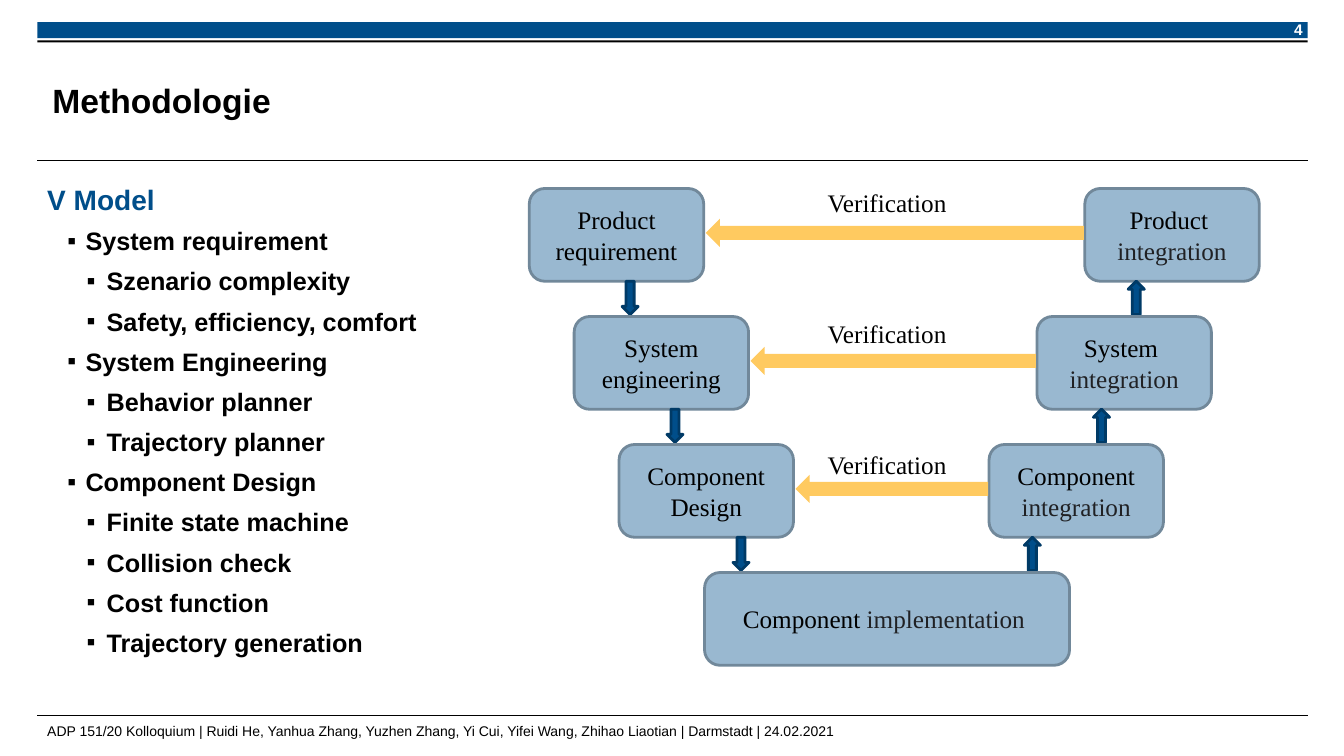
from lxml import etree
from pptx import Presentation
from pptx.dml.color import RGBColor
from pptx.enum.shapes import MSO_CONNECTOR as Connector, MSO_SHAPE as Shape
from pptx.enum.text import MSO_ANCHOR as Anchor, PP_ALIGN as Align
from pptx.oxml.ns import qn
from pptx.util import Inches, Pt

COLORS = {
    "blue": "004E8A", "navy": "003A66", "steel": "99B8D0", "slate": "71889A",
    "amber": "FFCA60", "black": "000000", "ink": "202124", "white": "FFFFFF",
}
SANS, SERIF = "Arial", "Times New Roman"
WIDTH, HEIGHT = 13.33, 7.5
MARGIN, CONTENT = 0.37, 12.6

TOPICS = {
    "System requirement": ["Szenario complexity", "Safety, efficiency, comfort"],
    "System Engineering": ["Behavior planner", "Trajectory planner"],
    "Component Design": ["Finite state machine", "Collision check",
                         "Cost function", "Trajectory generation"],
}
# Each stage holds paragraphs of runs: (text, color); "\n" is a line break
DESIGN = [
    [[("Product requirement", "black")]],
    [[("System engineering", "black")]],
    [[("Component", "black")], [("Design", "black")]],
]
INTEGRATION = [
    [[("Product ", "black"), ("\n", None), ("integration", "ink")]],
    [[("System ", "black"), ("\n", None), ("integration", "ink")]],
    [[("Component", "black")], [("integration", "ink")]],
]
IMPLEMENTATION = [[("Component", "black"), (" implementation ", "ink")]]
DOWN_OFFSETS = [0.92, 0.92, 1.13]  # arrow positions within the stage boxes
UP_OFFSETS = [0.43, 0.56, 0.35]


def rgb(name):
    return RGBColor.from_string(COLORS[name])


def add_run(paragraph, text, size, color, font=SANS, bold=False):
    run = paragraph.add_run()
    run.text = text
    run.font.size, run.font.name, run.font.bold = Pt(size), font, bold
    run.font.color.rgb = rgb(color)


def add_text_frame(slide, box, insets=(0.1, 0.05, 0.1, 0.05), wrap=True):
    frame = slide.shapes.add_textbox(*map(Inches, box)).text_frame
    frame.word_wrap = wrap
    (frame.margin_left, frame.margin_top,
     frame.margin_right, frame.margin_bottom) = map(Inches, insets)
    return frame


def add_block(slide, kind, box, fill, line=None):
    block = slide.shapes.add_shape(kind, *map(Inches, box))
    block.shadow.inherit = False
    block.fill.solid()
    block.fill.fore_color.rgb = rgb(fill)
    if line:
        block.line.color.rgb = rgb(line)
        block.line.width = Pt(2)
    else:
        block.line.fill.background()
    return block


def add_rule(slide, left, top, width):
    rule = slide.shapes.add_connector(
        Connector.STRAIGHT, Inches(left), Inches(top), Inches(left + width), Inches(top))
    rule.line.color.rgb = rgb("black")
    rule.line.width = Pt(0.6)
    etree.SubElement(rule._element.spPr, qn("a:effectLst"))


def add_header(slide, left, top, width):
    # Blue band, black line and page number
    add_block(slide, Shape.RECTANGLE, (left, top, width, 0.16), "blue")
    add_block(slide, Shape.RECTANGLE, (left, top + 0.18, width, 0.02), "black")
    number = add_text_frame(slide, (left + width - 0.47, top - 0.07, 0.52, 0.29), wrap=False)
    number.paragraphs[0].alignment = Align.RIGHT
    add_run(number.paragraphs[0], "4", 11, "white", bold=True)

    # Title above its rule
    title = add_text_frame(slide, (left + 0.15, top + 0.31, 10.54, 0.92), (0, 0, 0, 0))
    title.vertical_anchor = Anchor.MIDDLE
    add_run(title.paragraphs[0], "Methodologie", 24, "black", bold=True)
    add_rule(slide, left, top + 1.37, width)


def add_footer(slide, left, top, width):
    add_rule(slide, left, top, width)
    footer = add_text_frame(slide, (left, top + 0.02, 11.42, 0.23), (0.1, 0.05, 0, 0.05))
    add_run(footer.paragraphs[0],
            "ADP 151/20 Kolloquium | Ruidi He, Yanhua Zhang, Yuzhen Zhang, Yi Cui, "
            "Yifei Wang, Zhihao Liaotian | Darmstadt | 24.02.2021", 10, "black")


def add_bullet(paragraph, margin, indent):
    props = paragraph._p.get_or_add_pPr()
    props.set("marL", str(Inches(margin)))
    props.set("indent", str(Inches(-indent)))
    etree.SubElement(props, qn("a:buFont"), typeface=SANS)
    etree.SubElement(props, qn("a:buChar"), char="▪")


def add_outline(slide, box):
    frame = add_text_frame(slide, box)
    heading = frame.paragraphs[0]
    add_run(heading, "V Model", 20, "blue", bold=True)
    for topic, details in TOPICS.items():
        for level, text in [(1, topic)] + [(2, detail) for detail in details]:
            item = frame.add_paragraph()
            item.level = level
            add_bullet(item, *((0.38, 0.18) if level == 1 else (0.59, 0.2)))
            add_run(item, text, 18, "black", bold=True)
    for paragraph in frame.paragraphs:
        paragraph.line_spacing = 1.05
        paragraph.space_after = Pt(6)


def add_stage(slide, box, paragraphs):
    frame = add_block(slide, Shape.ROUNDED_RECTANGLE, box, "steel", "slate").text_frame
    frame.word_wrap = True
    frame.vertical_anchor = Anchor.MIDDLE
    for index, runs in enumerate(paragraphs):
        paragraph = frame.add_paragraph() if index else frame.paragraphs[0]
        paragraph.alignment = Align.CENTER
        for text, color in runs:
            if text == "\n":
                paragraph.add_line_break()
            else:
                add_run(paragraph, text, 18, color, SERIF)


def add_v_model(slide, left, top, width, height):
    stage_w, stage_h = 1.73, 0.92
    row_step = (height - stage_h) / len(DESIGN)
    for level, (design, integration) in enumerate(zip(DESIGN, INTEGRATION)):
        row = top + level * row_step
        design_x = left + level * 0.445
        integration_x = left + width - stage_w - level * 0.475

        # Both arms of the V
        add_stage(slide, (design_x, row, stage_w, stage_h), design)
        add_stage(slide, (integration_x, row, stage_w, stage_h), integration)

        # Verification link between the arms
        link_x = design_x + stage_w + 0.02
        add_block(slide, Shape.LEFT_ARROW,
                  (link_x, row + 0.3, integration_x - 0.01 - link_x, 0.28), "amber")
        label = add_text_frame(slide, (left + 2.86, top - 0.06 + level * 1.3, 1.53, 0.4))
        add_run(label.paragraphs[0], "Verification", 18, "black", SERIF)

        # Steps down the design arm and up the integration arm
        for kind, step_x in ((Shape.DOWN_ARROW, design_x + DOWN_OFFSETS[level]),
                             (Shape.UP_ARROW, integration_x + UP_OFFSETS[level])):
            add_block(slide, kind, (step_x, row + stage_h, 0.16, 0.33), "blue", "navy")

    # Foot of the V
    add_stage(slide, (left + width * 0.24, top + height - stage_h, width / 2, stage_h),
              IMPLEMENTATION)


def main():
    deck = Presentation()
    deck.slide_width, deck.slide_height = Inches(WIDTH), Inches(HEIGHT)
    slide = deck.slides.add_slide(deck.slide_layouts[6])
    add_header(slide, MARGIN, 0.22, CONTENT)
    add_footer(slide, MARGIN, 7.1, CONTENT)
    add_outline(slide, (MARGIN, 1.74, CONTENT, 5.24))
    add_v_model(slide, 5.25, 1.87, 7.24, 4.73)
    deck.save("out.pptx")


if __name__ == "__main__":
    main()
